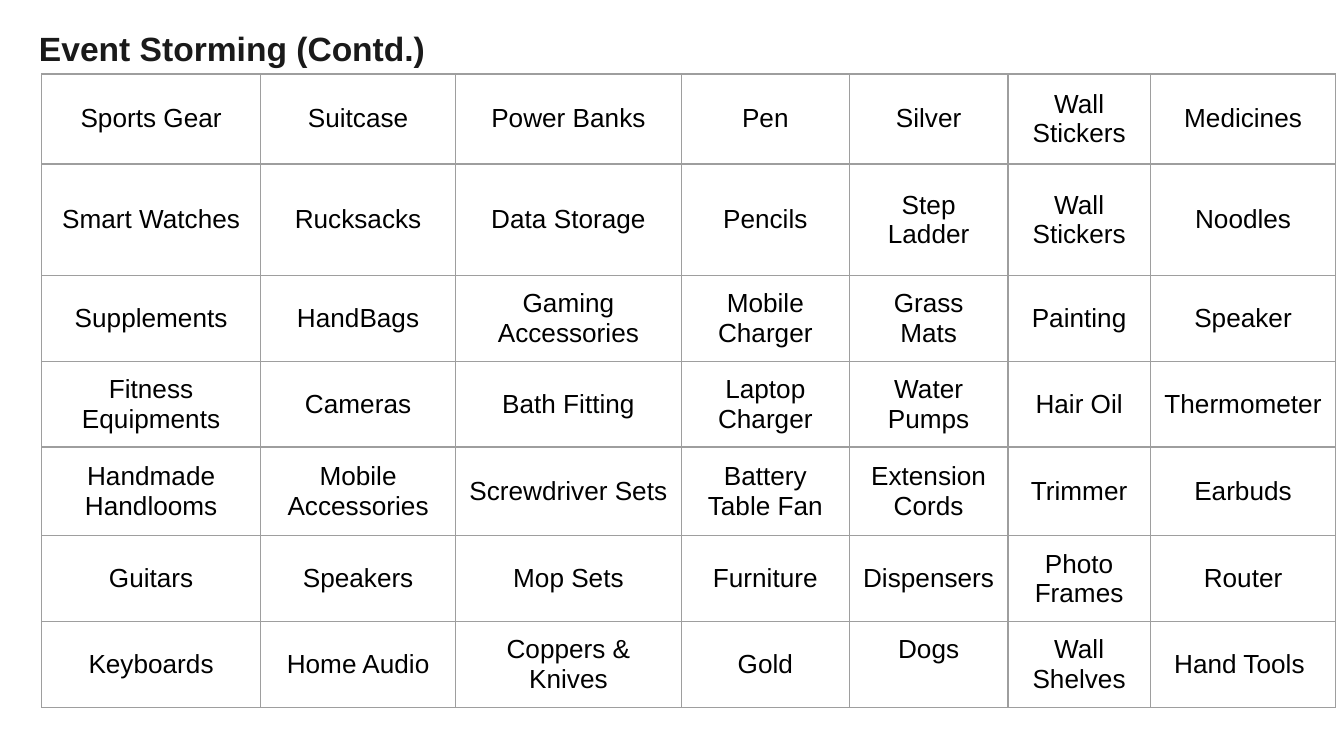
from dataclasses import dataclass

from lxml.etree import SubElement
from pptx import Presentation
from pptx.dml.color import RGBColor
from pptx.enum.text import MSO_ANCHOR as Anchor, MSO_AUTO_SIZE as AutoSize, PP_ALIGN as Align
from pptx.oxml.ns import qn
from pptx.slide import Slide
from pptx.table import _Cell as Cell
from pptx.text.text import Font
from pptx.util import Inches, Pt


@dataclass(frozen=True)
class Theme:
    font: str = "Arial"
    title_size: float = 18
    cell_size: float = 14
    title_color: str = "1A1A1A"
    cell_color: str = "000000"
    border_color: str = "9E9E9E"
    border_width: float = 0.75
    inset: float = 0.1


@dataclass(frozen=True)
class ProductRow:
    height: float
    products: tuple[str, ...]


THEME = Theme()
SLIDE_WIDTH = 10
COLUMN_WIDTHS = (1.63, 1.45, 1.68, 1.25, 1.18, 1.06, 1.38)
PRODUCT_ROWS = (
    ProductRow(0.67, ("Sports Gear", "Suitcase", "Power Banks", "Pen", "Silver",
                      "Wall Stickers", "Medicines")),
    ProductRow(0.83, ("Smart Watches", "Rucksacks", "Data Storage", "Pencils", "Step Ladder",
                      "Wall Stickers", "Noodles")),
    ProductRow(0.64, ("Supplements", "HandBags", "Gaming Accessories", "Mobile Charger",
                      "Grass Mats", "Painting", "Speaker")),
    ProductRow(0.61, ("Fitness Equipments", "Cameras", "Bath Fitting", "Laptop Charger",
                      "Water Pumps", "Hair Oil", "Thermometer")),
    ProductRow(0.66, ("Handmade Handlooms", "Mobile Accessories", "Screwdriver Sets",
                      "Battery Table Fan", "Extension Cords", "Trimmer", "Earbuds")),
    ProductRow(0.61, ("Guitars", "Speakers", "Mop Sets", "Furniture", "Dispensers",
                      "Photo Frames", "Router")),
    ProductRow(0.61, ("Keyboards", "Home Audio", "Coppers & Knives", "Gold", "Dogs",
                      "Wall Shelves", "Hand Tools ")),
)
RAISED_PRODUCT = "Dogs"
RAISED_BOTTOM_INSET = 0.32


def style_font(font: Font, size: float, color: str, bold: bool = False) -> None:
    font.name = THEME.font
    font.size = Pt(size)
    font.bold = bold
    font.color.rgb = RGBColor.from_string(color)


def add_title(slide: Slide, text: str) -> None:
    title = slide.shapes.title
    title.left, title.top = Inches(0.19), Inches(0.11)
    title.width, title.height = Inches(4.03), Inches(0.44)
    frame = title.text_frame
    frame.text = text
    frame.word_wrap = True
    frame.auto_size = AutoSize.NONE
    frame.vertical_anchor = Anchor.TOP
    frame.margin_left = frame.margin_right = Inches(THEME.inset)
    frame.margin_top = frame.margin_bottom = Inches(THEME.inset)
    paragraph = frame.paragraphs[0]
    paragraph.alignment = Align.LEFT
    style_font(paragraph.font, THEME.title_size, THEME.title_color, bold=True)


def add_borders(cell: Cell) -> None:
    properties = cell._tc.get_or_add_tcPr()
    for position, side in enumerate(("lnL", "lnR", "lnT", "lnB")):
        line = SubElement(properties, qn(f"a:{side}"), w=str(Pt(THEME.border_width)))
        fill = SubElement(line, qn("a:solidFill"))
        SubElement(fill, qn("a:srgbClr"), val=THEME.border_color)
        properties.insert(position, line)


def fill_cell(cell: Cell, product: str) -> None:
    cell.text = product
    cell.fill.background()
    cell.vertical_anchor = Anchor.MIDDLE
    cell.margin_left = cell.margin_right = Inches(THEME.inset)
    cell.margin_top = Inches(THEME.inset)
    raised = product == RAISED_PRODUCT
    cell.margin_bottom = Inches(RAISED_BOTTOM_INSET if raised else THEME.inset)
    paragraph = cell.text_frame.paragraphs[0]
    paragraph.alignment = Align.CENTER
    style_font(paragraph.font, THEME.cell_size, THEME.cell_color)
    add_borders(cell)


def add_product_table(slide: Slide, rows: tuple[ProductRow, ...]) -> None:
    table = slide.shapes.add_table(
        len(rows), len(COLUMN_WIDTHS), Inches(0.31), Inches(0.55),
        Inches(sum(COLUMN_WIDTHS)), Inches(sum(row.height for row in rows)),
    ).table
    table.first_row = False
    table.horz_banding = False
    for column, width in zip(table.columns, COLUMN_WIDTHS):
        column.width = Inches(width)
    for table_row, row in zip(table.rows, rows):
        table_row.height = Inches(row.height)
        for cell, product in zip(table_row.cells, row.products):
            fill_cell(cell, product)


def main() -> None:
    presentation = Presentation()
    presentation.slide_width = Inches(SLIDE_WIDTH)
    presentation.slide_height = Inches(SLIDE_WIDTH * 9 / 16)
    slide = presentation.slides.add_slide(presentation.slide_layouts[5])
    add_title(slide, "Event Storming (Contd.)")
    add_product_table(slide, PRODUCT_ROWS)
    presentation.save("out.pptx")


if __name__ == "__main__":
    main()
